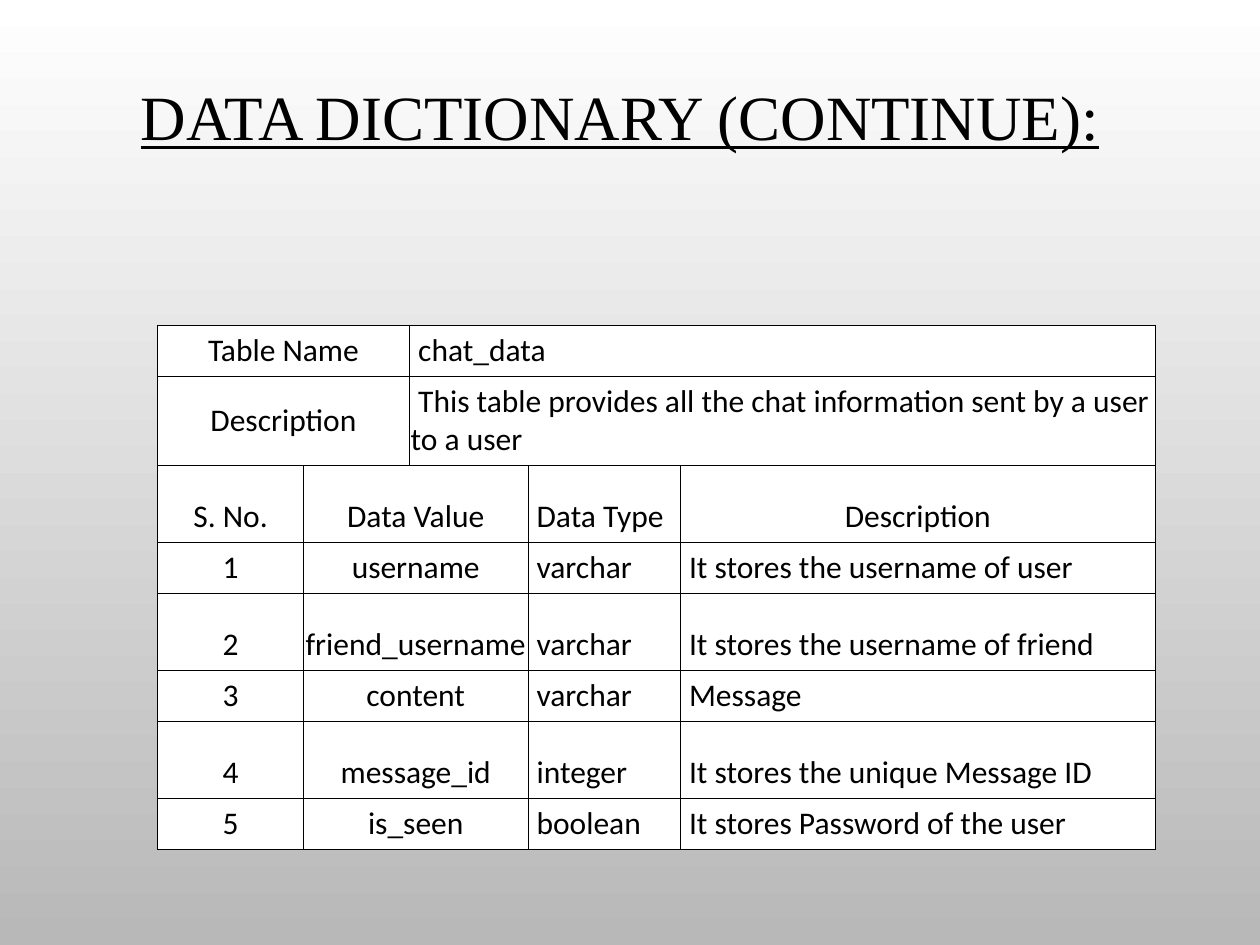
import pptx
import pptx.dml.color
import pptx.enum.text
import pptx.oxml
import pptx.oxml.ns
import pptx.util

Inches, Pt = pptx.util.Inches, pptx.util.Pt
RGBColor = pptx.dml.color.RGBColor
Align, Anchor = pptx.enum.text.PP_ALIGN, pptx.enum.text.MSO_ANCHOR

BLACK = RGBColor(0x00, 0x00, 0x00)
WHITE = RGBColor(0xFF, 0xFF, 0xFF)
GREY = RGBColor(0xB8, 0xB8, 0xB8)

TITLE = "DATA DICTIONARY (CONTINUE):"
SUMMARY = [
    ("Table Name", "chat_data"),
    ("Description", "This table provides all the chat information sent by a user to a user"),
]
HEADINGS = ("S. No.", "Data Value", "Data Type", "Description")
FIELDS = [
    ("username", "varchar", "It stores the username of user"),
    ("friend_username", "varchar", "It stores the username of friend"),
    ("content", "varchar", "Message"),
    ("message_id", "integer", "It stores the unique Message ID"),
    ("is_seen", "boolean", "It stores Password of the user"),
]

COLUMN_WIDTHS = (1.16, 0.84, 0.94, 1.21, 3.77)
SHORT_ROW, TALL_ROW = 0.31, 0.61
# First and last grid column of each cell in a row
SUMMARY_SPANS = ((0, 1), (2, 4))
FIELD_SPANS = ((0, 0), (1, 2), (3, 3), (4, 4))

TITLE_FONT = {"name": "Times New Roman", "size": Pt(36), "underline": True}
CELL_FONT = {"name": "Calibri", "size": Pt(18)}
CELL_FORMAT = {"margin_left": Inches(0.01), "margin_right": Inches(0.01),
               "margin_top": Inches(0.05), "margin_bottom": Inches(0.05),
               "vertical_anchor": Anchor.BOTTOM}
FIRST_LINE_INDENT = Inches(0.06)
BORDER_WIDTH = Pt(0.45)


def set_attributes(target, values):
    for name, value in values.items():
        setattr(target, name, value)


def format_font(font, values):
    set_attributes(font, values)
    font.color.rgb = BLACK


def add_borders(cell):
    properties = cell._tc.get_or_add_tcPr()
    for side in ("lnL", "lnR", "lnT", "lnB"):
        properties.append(pptx.oxml.parse_xml(
            f'<a:{side} {pptx.oxml.ns.nsdecls("a")} w="{BORDER_WIDTH}">'
            f'<a:solidFill><a:srgbClr val="{BLACK}"/></a:solidFill></a:{side}>'))


def write_cell(cell, text, centred):
    set_attributes(cell, CELL_FORMAT)
    para = cell.text_frame.paragraphs[0]
    para.text = text
    para.alignment = Align.CENTER if centred else Align.LEFT
    if not centred:
        para._p.get_or_add_pPr().set("indent", str(FIRST_LINE_INDENT))
    format_font(para.runs[0].font, CELL_FONT)


def add_background(slide):
    fill = slide.background.fill
    fill.gradient()
    fill.gradient_angle = 270
    for stop, position, colour in zip(fill.gradient_stops, (0, 1), (WHITE, GREY)):
        stop.position = position
        stop.color.rgb = colour


def add_title(slide):
    title = slide.shapes.title
    set_attributes(title, {"left": Inches(0.42), "top": Inches(0.33),
                           "width": Inches(9), "height": Inches(1.25)})
    title.text_frame.vertical_anchor = Anchor.MIDDLE
    para = title.text_frame.paragraphs[0]
    para.text = TITLE
    para.alignment = Align.CENTER
    para.line_spacing = 0.9
    format_font(para.runs[0].font, TITLE_FONT)


def add_dictionary(slide):
    numbered = [(str(number), *field) for number, field in enumerate(FIELDS, 1)]
    rows = [*SUMMARY, HEADINGS, *numbered]
    heights = [SHORT_ROW, TALL_ROW] + [
        TALL_ROW if index % 2 == 0 else SHORT_ROW for index in range(len(rows) - 2)]
    table = slide.shapes.add_table(
        len(rows), len(COLUMN_WIDTHS), Inches(1.25), Inches(2.58),
        Inches(sum(COLUMN_WIDTHS)), Inches(sum(heights))).table
    table.first_row = table.horz_banding = False
    for column, width in zip(table.columns, COLUMN_WIDTHS):
        column.width = Inches(width)
    for row, height in zip(table.rows, heights):
        row.height = Inches(height)
    for cell in table.iter_cells():
        add_borders(cell)
        cell.fill.solid()
        cell.fill.fore_color.rgb = WHITE
    for row, texts in enumerate(rows):
        spans = SUMMARY_SPANS if len(texts) == 2 else FIELD_SPANS
        for text, (first, last) in zip(texts, spans):
            cell = table.cell(row, first)
            if last > first:
                cell.merge(table.cell(row, last))
            centred = first < 2 or (texts is HEADINGS and first == 4)
            write_cell(cell, text, centred)
    table.cell(1, 0).vertical_anchor = Anchor.MIDDLE
    table.cell(5, 4).vertical_anchor = Anchor.MIDDLE


def main():
    deck = pptx.Presentation()
    deck.slide_width, deck.slide_height = Inches(10), Inches(7.5)
    slide = deck.slides.add_slide(deck.slide_layouts.get_by_name("Title Only"))
    add_background(slide)
    add_title(slide)
    add_dictionary(slide)
    deck.save("out.pptx")


if __name__ == "__main__":
    main()
